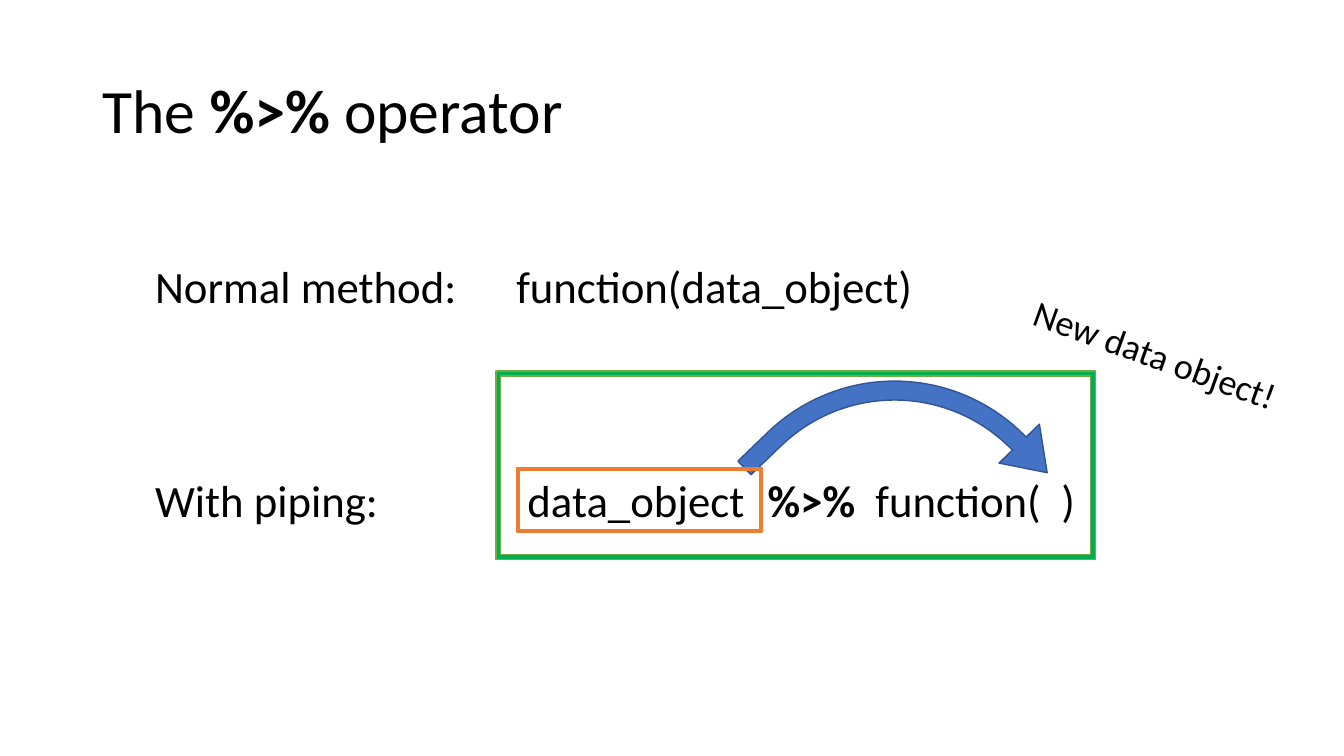
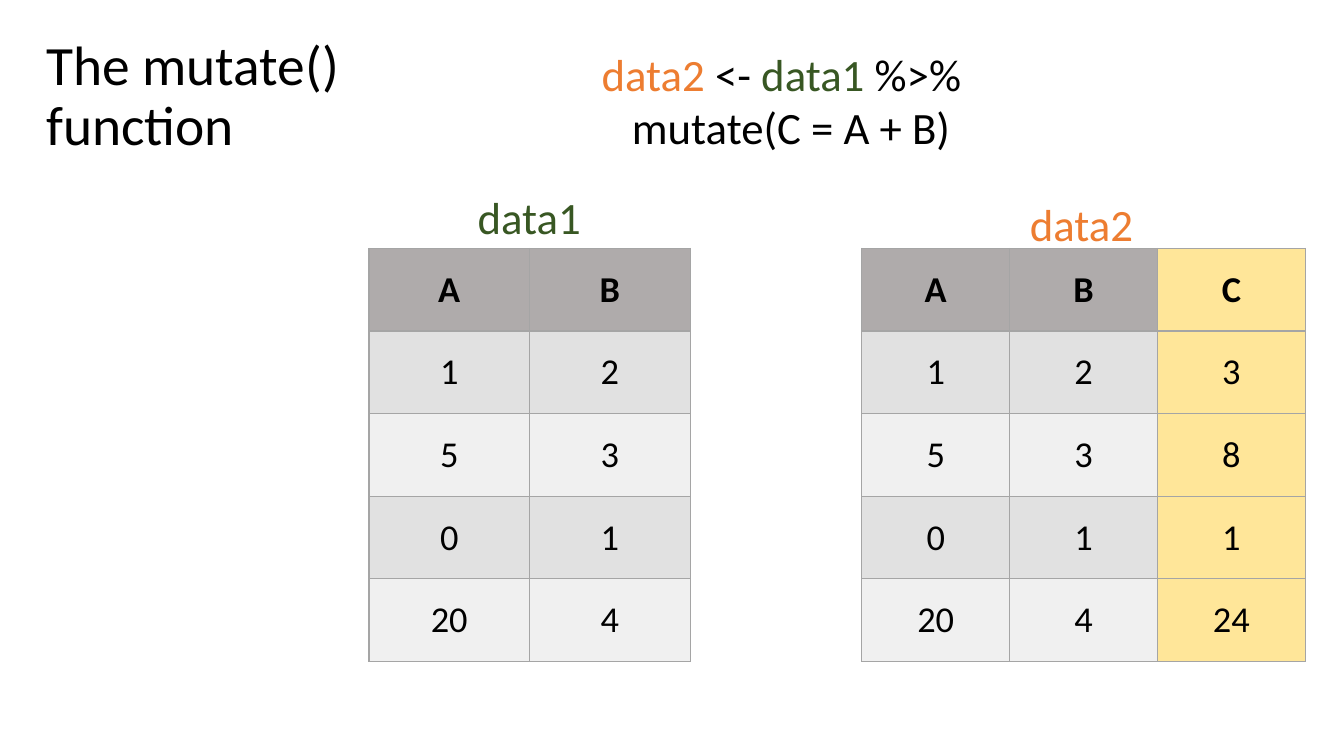
from lxml.etree import SubElement as Sub
from pptx import Presentation as Deck
from pptx.dml.color import RGBColor as RGB
from pptx.enum.shapes import MSO_SHAPE as Kind
from pptx.enum.text import MSO_ANCHOR as Anchor, MSO_AUTO_SIZE as Fit, PP_ALIGN as Align
from pptx.oxml.ns import qn
from pptx.util import Pt

BLACK = RGB(0x00, 0x00, 0x00)
BLUE = RGB(0x44, 0x72, 0xC4)
NAVY = RGB(0x32, 0x54, 0x91)
ORANGE = RGB(0xED, 0x7D, 0x31)
GREEN = RGB(0x00, 0xB0, 0x50)
LEAF = RGB(0x70, 0xAD, 0x47)
FOREST = RGB(0x38, 0x57, 0x23)
GOLD = RGB(0xFF, 0xE6, 0x99)
RULE = RGB(0xA5, 0xA5, 0xA5)
HEAD = RGB(0xAF, 0xAB, 0xAB)
BANDS = RGB(0xF0, 0xF0, 0xF0), RGB(0xE1, 0xE1, 0xE1)


def write(par, text, size=32, color=BLACK, bold=False):
    """Add one formatted run to a paragraph."""
    run = par.add_run()
    run.text = text
    font = run.font
    font.name, font.size, font.bold = "Calibri", Pt(size), bold
    font.color.rgb = color


def place(item, left, top, width, height):
    item.left, item.top = Pt(left), Pt(top)
    item.width, item.height = Pt(width), Pt(height)


class Pen:
    """Holds the deck, its style and the current slide."""

    def __init__(self):
        self.deck = Deck()
        self.deck.slide_width, self.deck.slide_height = Pt(960), Pt(540)

    def start(self, runs, area, size):
        """Open a slide and fill its title from (text, bold) pairs."""
        self.slide = self.deck.slides.add_slide(self.deck.slide_layouts[5])
        self.shapes = self.slide.shapes
        title = self.shapes.title
        place(title, *area)
        frame = title.text_frame
        frame.auto_size, frame.word_wrap = Fit.NONE, True
        frame.vertical_anchor = Anchor.MIDDLE
        par = frame.paragraphs[0]
        par.alignment, par.line_spacing = Align.LEFT, 0.9
        for text, bold in runs:
            write(par, text, size=size, bold=bold)

    def text(self, lines, area, tabs=(), turn=0, size=32):
        """Add a text box; each line is a list of (text, format) pairs."""
        box = self.shapes.add_textbox(*map(Pt, area))
        box.rotation = turn
        frame = box.text_frame
        frame.word_wrap = bool(tabs)
        for num, line in enumerate(lines):
            par = frame.add_paragraph() if num else frame.paragraphs[0]
            if tabs:
                stops = Sub(par._p.get_or_add_pPr(), qn("a:tabLst"))
                for pos in tabs:
                    Sub(stops, qn("a:tab"), pos=str(Pt(pos)), algn="l")
            for text, form in line:
                write(par, text, **{"size": size, **form})

    def shape(self, kind, area, fill, line, adjust, turn=0):
        item = self.shapes.add_shape(kind, *map(Pt, area))
        item.shadow.inherit = False
        item.rotation = turn
        for num, value in enumerate(adjust):
            item.adjustments[num] = value
        item.fill.solid()
        item.fill.fore_color.rgb = fill
        item.line.color.rgb = line
        item.line.width = Pt(1)

    def table(self, rows, left, top, wide, high, new=None):
        """Add a banded table; column number new is highlighted."""
        count = len(rows[0])
        grid = self.shapes.add_table(len(rows), count, Pt(left), Pt(top),
                                     Pt(wide * count), Pt(high * len(rows))).table
        for r, row in enumerate(rows):
            grid.rows[r].height = Pt(high)
            for c, value in enumerate(row):
                cell = grid.cell(r, c)
                self.border(cell)
                cell.fill.solid()
                shade = BANDS[r % 2] if r else HEAD
                cell.fill.fore_color.rgb = GOLD if c == new else shade
                cell.vertical_anchor = Anchor.MIDDLE
                par = cell.text_frame.paragraphs[0]
                par.alignment = Align.CENTER
                write(par, str(value), size=26, bold=r == 0)

    def border(self, cell):
        props = cell._tc.get_or_add_tcPr()
        for side in "LRTB":
            line = Sub(props, qn(f"a:ln{side}"), w=str(Pt(1)))
            fill = Sub(line, qn("a:solidFill"))
            Sub(fill, qn("a:srgbClr"), val=str(RULE))


def pipe(pen):
    pen.start([("The ", False), ("%>% ", True), ("operator", False)],
              (66, 28.8, 828, 104.4), 44)
    # Two ways to call a function
    pen.text([[("Normal method:\tfunction(data_object)", {})]],
             (103.7, 181.4, 562, 46), tabs=[258])
    pen.text([[("With piping:\tdata_object\t", {}), ("%>%", {"bold": True}),
               ("\tfunction(\t)", {})]],
             (103.7, 334.1, 678, 46), tabs=[266, 437.5, 514.6, 647.4])
    # Arrow and frames
    pen.shape(Kind.BENT_ARROW, (565.2, 239.8, 159.1, 173.5), BLUE, NAVY,
              [0.085, 0.126, 0.181, 0.819], turn=46.1)
    pen.shape(Kind.FRAME, (369.4, 334.1, 175, 46), ORANGE, ORANGE, [0.036])
    pen.shape(Kind.FRAME, (354.2, 265, 428.4, 134.6), GREEN, LEAF, [0.026])
    # Result note
    pen.text([[("New data object!", {})]], (727.2, 234, 198, 38.9),
             turn=19.8, size=26)


def mutate(pen):
    pen.start([("The mutate() function", False)], (25.9, 22.3, 291.6, 95), 39.6)
    # Tables before and after
    pairs = [(1, 2), (5, 3), (0, 1), (20, 4)]
    sums = [(a, b, a + b) for a, b in pairs]
    pen.table([("A", "B"), *pairs], 263.5, 177.5, 114.8, 59)
    pen.table([("A", "B", "C"), *sums], 615.6, 177.5, 105.6, 59, new=2)
    # Table names
    old, new = ("data1", {"color": FOREST}), ("data2", {"color": ORANGE})
    pen.text([[old]], (334.1, 131.8, 89.3, 46))
    pen.text([[new]], (728.6, 136.8, 89.3, 46))
    # Code
    pen.text([[new, (" <- ", {}), old, (" %>%", {})],
              [("   mutate(C = A + B)", {})]], (422.6, 29.5, 274.3, 85))


def main():
    pen = Pen()
    pipe(pen)
    mutate(pen)
    pen.deck.save("out.pptx")


if __name__ == "__main__":
    main()
